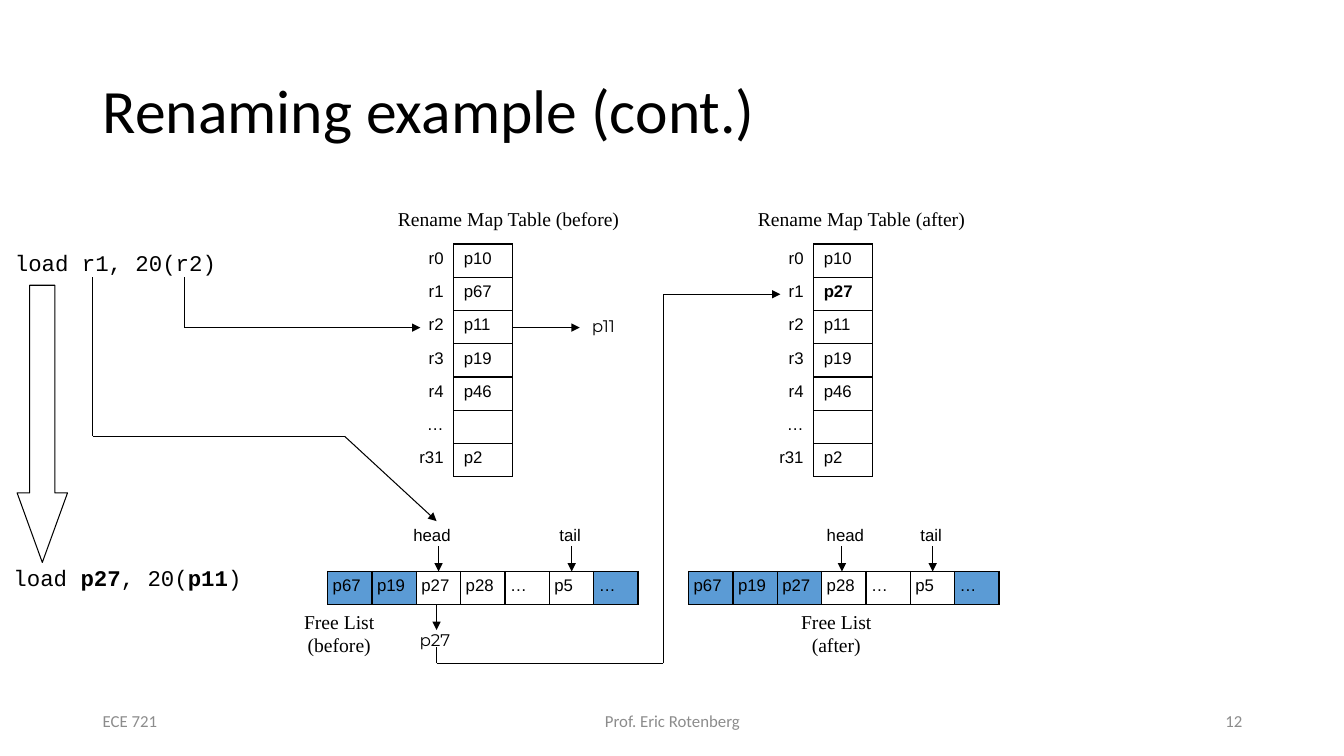
from itertools import pairwise
from lxml import etree
from pptx import Presentation
from pptx.dml.color import RGBColor
from pptx.enum import shapes, text
from pptx.oxml.ns import qn
from pptx.util import Inches, Pt

BLACK = RGBColor(0, 0, 0)
GREY = RGBColor(0x8C, 0x8C, 0x8C)
BLUE = RGBColor(0x5B, 0x9B, 0xD5)
LEFT, MID, RIGHT = text.PP_ALIGN.LEFT, text.PP_ALIGN.CENTER, text.PP_ALIGN.RIGHT
SERIF, MONO, SANS = "Times New Roman", "Courier New", "Arial"
PLAIN = "{2D5ABB26-0587-4C30-8999-92F81FD0307C}"  # no style, no grid
ROW = 0.33


def add_run(para, words, size, face, color=BLACK, bold=False):
    run = para.add_run()
    run.text = words
    font = run.font
    font.size, font.name, font.bold = Pt(size), face, bold
    font.color.rgb = color


def label(slide, box, runs, size, face, color=BLACK, align=MID, wrap=False):
    """Text box; runs are (words, bold) pairs, None breaks the line."""
    frame = slide.shapes.add_textbox(*map(Inches, box)).text_frame
    frame.word_wrap = wrap
    para = frame.paragraphs[0]
    para.alignment = align
    for part in runs:
        if part is None:
            para.add_line_break()
        else:
            add_run(para, part[0], size, face, color, part[1])
    return frame


def route(slide, *points, arrow=True):
    """Straight segments through the points, with an arrowhead at the end."""
    for start, end in pairwise(points):
        line = slide.shapes.add_connector(
            shapes.MSO_CONNECTOR.STRAIGHT, *map(Inches, start + end))
        line.line.color.rgb = BLACK
        line.line.width = Pt(0.75)
        props = line._element.spPr
        etree.SubElement(props, qn("a:effectLst"))
        if arrow and end == points[-1]:
            etree.SubElement(line.line._get_or_add_ln(), qn("a:tailEnd"), type="triangle")


def grid(slide, left, top, rows, cols, width):
    frame = slide.shapes.add_table(rows, cols, Inches(left), Inches(top),
                                   Inches(width * cols), Inches(ROW * rows))
    table = frame.table
    table.first_row = table.horz_banding = False
    table._tbl.tblPr.find(qn("a:tableStyleId")).text = PLAIN
    for col in table.columns:
        col.width = Inches(width)
    for row in table.rows:
        row.height = Inches(ROW)
    return table


def fill_cell(cell, words, align=LEFT, bold=False, color=None, sides="LRTB"):
    para = cell.text_frame.paragraphs[0]
    para.alignment = align
    if words:
        add_run(para, words, 12, SANS, bold=bold)
    else:
        etree.SubElement(para._p, qn("a:endParaRPr"), sz="1200")
    props = cell._tc.get_or_add_tcPr()
    for side in sides:
        edge = etree.SubElement(props, qn("a:ln" + side), w="12700")
        paint = etree.SubElement(edge, qn("a:solidFill"))
        etree.SubElement(paint, qn("a:srgbClr"), val=str(BLACK))
    if color:
        cell.fill.solid()
        cell.fill.fore_color.rgb = color
    else:
        cell.fill.background()


def map_table(slide, left, top, when, width, regs, new=None):
    label(slide, (left - 0.08, top - 0.42, width, 0.33),
          [(f"Rename Map Table ({when})", False)], 14, SERIF)
    names = ["r0", "r1", "r2", "r3", "r4", "…", "r31"]
    table = grid(slide, left, top, len(names), 2, 0.58)
    for i, (name, reg) in enumerate(zip(names, regs)):
        fill_cell(table.cell(i, 0), name, RIGHT, sides="R")
        fill_cell(table.cell(i, 1), reg, bold=i == new)


def free_list(slide, left, top, when, used, marks, note):
    regs = ["p67", "p19", "p27", "p28", "…", "p5", "…"]
    table = grid(slide, left, top, 1, len(regs), 0.44)
    for i, reg in enumerate(regs):
        cell = table.cell(0, i)
        cell.margin_left = cell.margin_right = Inches(0.05)
        taken = i < used or i == len(regs) - 1
        fill_cell(cell, reg, color=BLUE if taken else None)
    # Head and tail pointers
    for name, shift, width, tip in marks:
        label(slide, (left + shift, top - 0.51, width, 0.3), [(name, False)], 12, SANS)
        route(slide, (left + tip, top - 0.25), (left + tip, top))
    shift, width = note
    label(slide, (left + shift, top + ROW, width, 0.55),
          [("Free List", False), None, (f"({when})", False)], 14, SERIF)


def code(slide, left, top):
    """Instruction before and after renaming, with the block arrow between."""
    label(slide, (left, top, 2.21, 0.37), [("load r1, 20(r2)", False)], 16, MONO)
    arrow = slide.shapes.add_shape(shapes.MSO_SHAPE.DOWN_ARROW, Inches(left + 0.13),
                                   Inches(top + 0.41), Inches(0.5), Inches(2.75))
    arrow.adjustments[0], arrow.adjustments[1] = 0.5, 1.38
    arrow.shadow.inherit = False
    arrow.fill.background()
    arrow.line.color.rgb = BLACK
    arrow.line.width = Pt(0.75)
    label(slide, (left - 0.01, top + 3.13, 2.47, 0.37),
          [("load ", False), ("p27", True), (", 20(", False), ("p11", True), (")", False)],
          16, MONO)


def heading(slide, box):
    title = slide.shapes.title
    title.left, title.top, title.width, title.height = map(Inches, box)
    frame = title.text_frame
    frame.vertical_anchor = text.MSO_ANCHOR.MIDDLE
    para = frame.paragraphs[0]
    para.alignment, para.line_spacing = LEFT, 0.9
    add_run(para, "Renaming example (cont.)", 44, "Calibri")


def footer(slide, top):
    for words, left, width, align in (("ECE 721", 0.92, 3, LEFT),
                                      ("Prof. Eric Rotenberg", 4.42, 4.5, MID),
                                      ("12", 9.42, 3, RIGHT)):
        frame = label(slide, (left, top, width, 0.4), [(words, False)], 12,
                      "Calibri", GREY, align, wrap=True)
        frame.vertical_anchor = text.MSO_ANCHOR.MIDDLE


def flow(slide):
    """Source lookup, allocation of p27 and update of the map."""
    route(slide, (1.83, 2.75), (1.83, 3.25), (4.17, 3.25))
    route(slide, (5.08, 3.25), (5.75, 3.25))
    route(slide, (0.92, 2.75), (0.92, 4.33), (3.42, 4.33), (4.33, 5.17))
    route(slide, (4.33, 6), (4.33, 6.25))
    route(slide, (4.33, 6.42), (4.33, 6.58), (6.58, 6.58), (6.58, 2.92), (7.74, 2.92))
    for reg, left, top in (("p11", 5.72, 3.08), ("p27", 4.05, 6.2)):
        label(slide, (left, top, 0.53, 0.3), [(reg, False)], 12, "Montserrat")


def main():
    deck = Presentation()
    deck.slide_width, deck.slide_height = Inches(13.33), Inches(7.5)
    slide = deck.slides.add_slide(deck.slide_layouts[5])
    heading(slide, (0.92, 0.4, 11.5, 1.45))
    footer(slide, 6.95)
    # Rename map tables
    regs = ["p10", "p67", "p11", "p19", "p46", "", "p2"]
    map_table(slide, 3.92, 2.42, "before", 2.41, regs)
    map_table(slide, 7.49, 2.42, "after", 2.27, regs[:1] + ["p27"] + regs[2:], new=1)
    # Free lists
    tail = ("tail", 2.2, 0.41, 2.42)
    free_list(slide, 3.25, 5.67, "before", 2, [("head", 0.75, 0.57, 1.1), tail], (-0.67, 1.57))
    free_list(slide, 6.83, 5.67, "after", 3, [("head", 1.27, 0.57, 1.52), tail], (0.75, 1.43))
    flow(slide)
    code(slide, 0.04, 2.42)
    deck.save("out.pptx")


if __name__ == "__main__":
    main()
